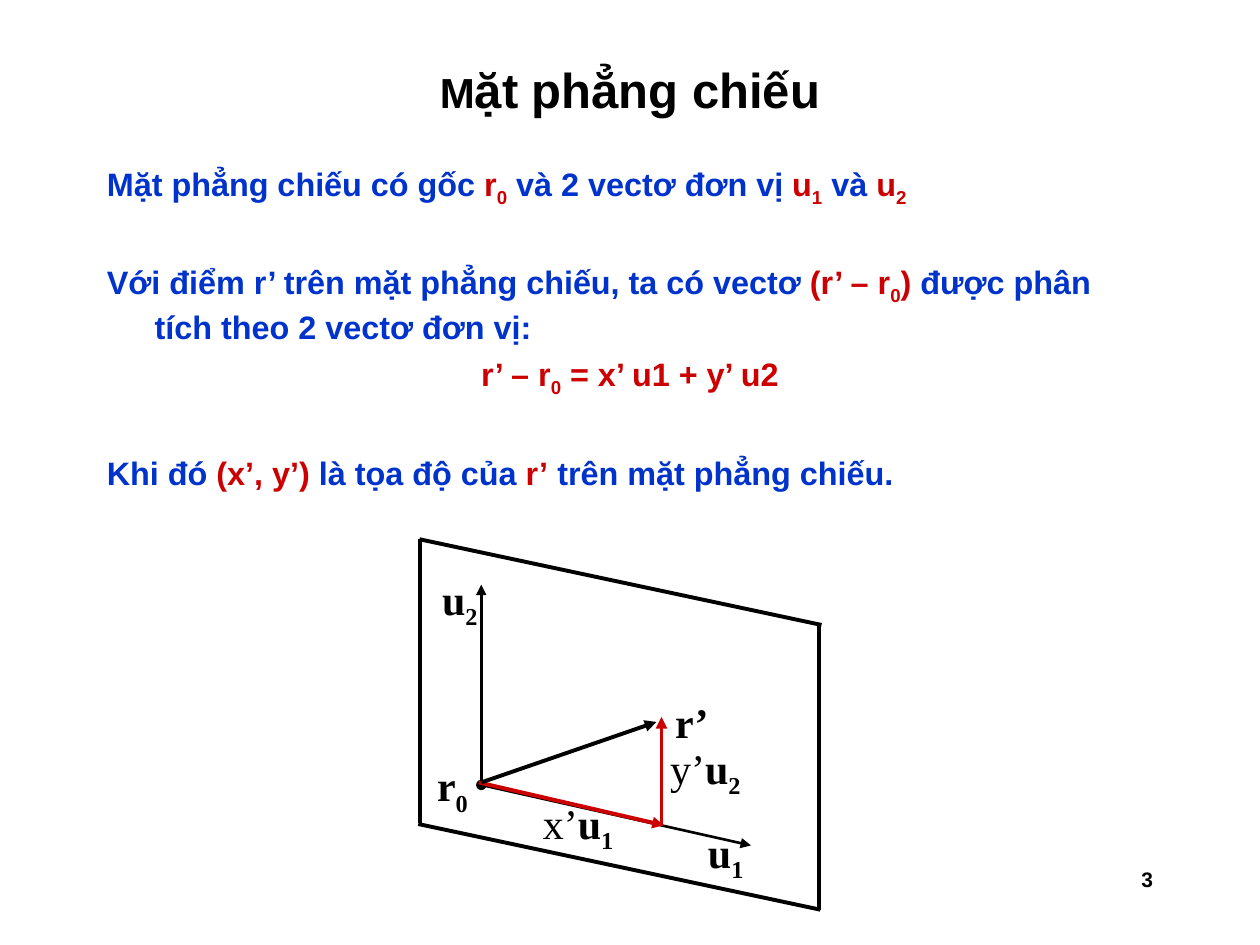
from lxml.etree import SubElement
from pptx import Presentation
from pptx.dml.color import RGBColor
from pptx.enum.shapes import MSO_CONNECTOR
from pptx.enum.text import MSO_ANCHOR, PP_ALIGN
from pptx.oxml.ns import qn
from pptx.util import Inches, Pt

COLORS = {"black": "000000", "blue": "0033CC", "red": "CC0000"}


def add_span(para, text, size, font, color, bold=True, subscript=False):
    span = para.add_run()
    span.text = text
    span.font.size = Pt(size)
    span.font.name = font
    span.font.bold = bold
    span.font.color.rgb = RGBColor.from_string(COLORS[color])
    if subscript:
        span.font._element.set("baseline", "-25000")


def add_text_box(page, left, top, width, height):
    """Add a wrapping text box and return its text frame."""
    box = page.shapes.add_textbox(Inches(left), Inches(top), Inches(width), Inches(height))
    box.text_frame.word_wrap = True
    return box.text_frame


deck = Presentation()
deck.slide_width, deck.slide_height = Inches(10), Inches(7.5)
page = deck.slides.add_slide(deck.slide_layouts[5])

# Title
title = page.shapes.title
title.left, title.top = Inches(0.75), Inches(0.33)
title.width, title.height = Inches(8.5), Inches(0.75)
title.text_frame.vertical_anchor = MSO_ANCHOR.MIDDLE
para = title.text_frame.paragraphs[0]
para.alignment = PP_ALIGN.CENTER
add_span(para, "M", 24, "Arial", "black")
add_span(para, "ặt phẳng chiếu", 28, "Arial", "black")

# Body: alignment, space before, then spans of text, colour and subscript
body = [
    (PP_ALIGN.LEFT, 5, [
        ("Mặt phẳng chiếu có gốc ", "blue", ""), ("r", "red", "0"),
        (" và 2 vectơ đơn vị ", "blue", ""), ("u", "red", "1"),
        (" và ", "blue", ""), ("u", "red", "2")]),
    (PP_ALIGN.LEFT, 31.25, [
        ("Với điểm r’ trên mặt phẳng chiếu, ta có vectơ ", "blue", ""),
        ("(r’ – r", "red", "0"), (")", "red", ""),
        (" được phân tích theo 2 vectơ đơn vị:", "blue", "")]),
    (PP_ALIGN.CENTER, 5, [
        ("r’ – r", "red", "0"), (" = x’ u1 + y’ u2", "red", "")]),
    (PP_ALIGN.LEFT, 31.25, [
        ("Khi đó ", "blue", ""), ("(x’, y’)", "red", ""),
        (" là tọa độ của ", "blue", ""), ("r’", "red", ""),
        (" trên mặt phẳng chiếu.", "blue", "")]),
]
frame = add_text_box(page, 0.75, 1.25, 8.5, 2.83)
for index, (alignment, space, spans) in enumerate(body):
    para = frame.add_paragraph() if index else frame.paragraphs[0]
    para.alignment = alignment
    para.space_before = Pt(space)
    properties = para._p.get_or_add_pPr()
    properties.set("marL", str(Inches(0.38)))
    properties.set("indent", str(-Inches(0.38)))
    for text, color, subscript in spans:
        add_span(para, text, 18.5, "Arial", color)
        if subscript:
            add_span(para, subscript, 18.5, "Arial", color, subscript=True)

# Plane outline, axes and vectors: start, end, colour, width, start mark, end mark
lines = [
    ((3.33, 4.28), (3.33, 6.53), "black", 2.25, None, None),
    ((6.5, 4.97), (6.5, 7.22), "black", 2.25, None, None),
    ((3.33, 4.28), (6.52, 4.96), "black", 2.25, None, None),
    ((3.32, 6.54), (6.51, 7.22), "black", 2.25, None, None),
    ((3.82, 6.23), (3.82, 4.64), "black", 1.5, "oval", "triangle"),
    ((3.82, 6.23), (5.96, 6.71), "black", 1.5, None, "triangle"),
    ((5.25, 6.55), (5.25, 5.69), "red", 2.25, None, "triangle"),
    ((3.8, 6.21), (5.27, 6.55), "red", 2.25, None, "triangle"),
    ((3.82, 6.21), (5.21, 5.73), "black", 2.25, None, "triangle"),
]
for start, end, color, width, start_mark, end_mark in lines:
    line = page.shapes.add_connector(
        MSO_CONNECTOR.STRAIGHT, *map(Inches, start), *map(Inches, end))
    line.line.color.rgb = RGBColor.from_string(COLORS[color])
    line.line.width = Pt(width)
    outline = line.line._get_or_add_ln()
    for tag, mark in (("a:headEnd", start_mark), ("a:tailEnd", end_mark)):
        if mark:
            SubElement(outline, qn(tag), type=mark)
    SubElement(line._element.spPr, qn("a:effectLst"))

# Vector labels: place, scalar factor, vector, subscript
labels = [
    ((3.41, 4.5, 0.52, 0.56), "", "u", "2"),
    ((5.52, 6.51, 0.75, 0.56), "", "u", "1"),
    ((3.37, 5.98, 0.75, 0.56), "", "r", "0"),
    ((5.26, 5.48, 0.88, 0.5), "", "r’", ""),
    ((4.21, 6.28, 0.95, 0.56), "x’", "u", "1"),
    ((5.22, 5.84, 0.95, 0.56), "y’", "u", "2"),
]
for place, factor, vector, subscript in labels:
    para = add_text_box(page, *place).paragraphs[0]
    para.space_before = Pt(15)
    if factor:
        add_span(para, factor, 24, "Times New Roman", "black", bold=False)
    add_span(para, vector, 24, "Times New Roman", "black")
    if subscript:
        add_span(para, subscript, 24, "Times New Roman", "black", subscript=True)

# Page number
para = add_text_box(page, 7.17, 6.83, 2.08, 0.5).paragraphs[0]
para.alignment = PP_ALIGN.RIGHT
add_span(para, "3", 12, "Arial", "black")

deck.save("out.pptx")
